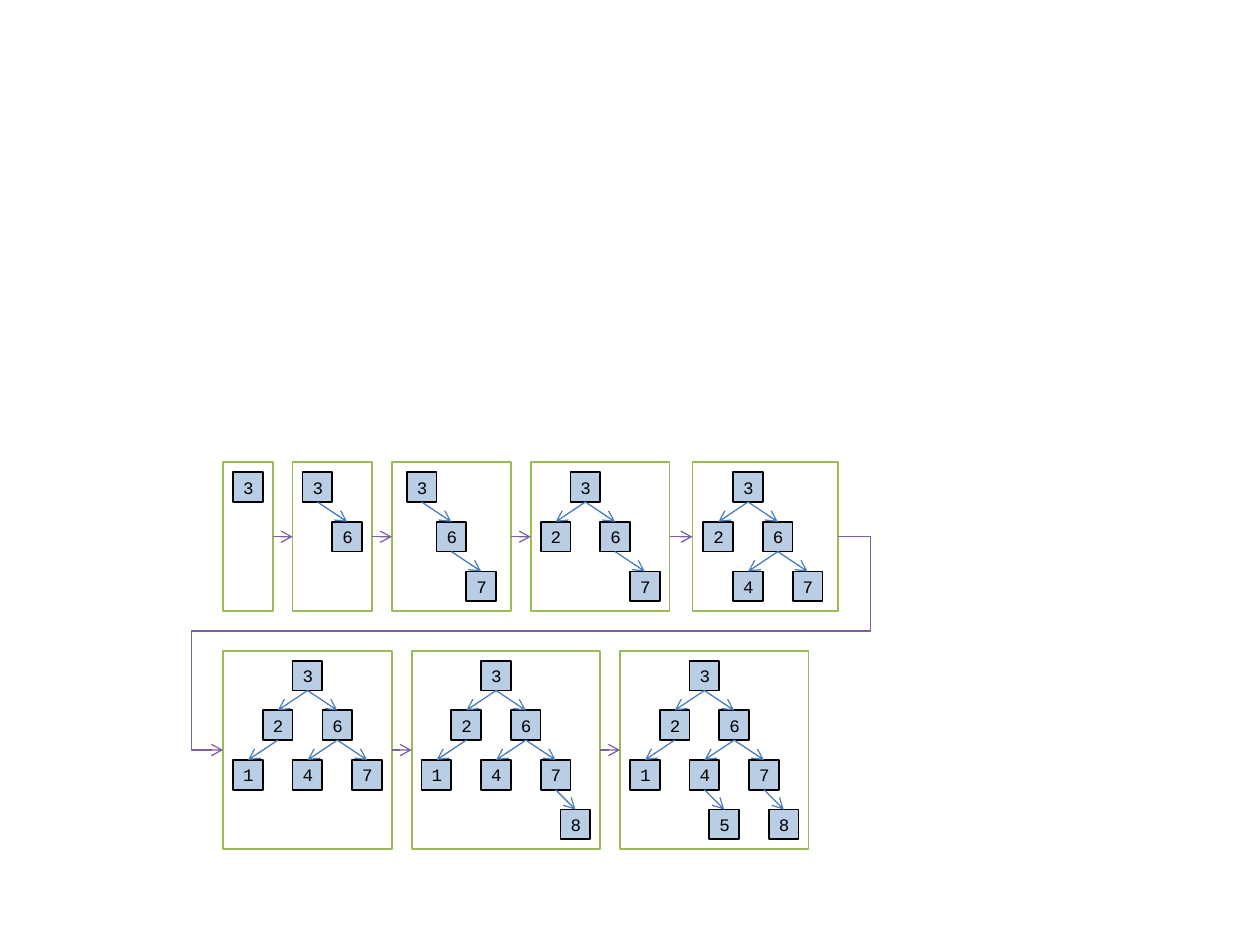
from lxml import etree
from pptx import Presentation
from pptx.dml.color import RGBColor
from pptx.enum.shapes import MSO_CONNECTOR, MSO_SHAPE
from pptx.enum.text import MSO_ANCHOR, PP_ALIGN
from pptx.oxml.ns import qn
from pptx.util import Cm, Inches, Pt

RECTANGLE = MSO_SHAPE.RECTANGLE
STRAIGHT, ELBOW = MSO_CONNECTOR.STRAIGHT, MSO_CONNECTOR.ELBOW
MIDDLE, CENTER = MSO_ANCHOR.MIDDLE, PP_ALIGN.CENTER
TOP_SITE, LEFT_SITE, BOTTOM_SITE, RIGHT_SITE = range(4)

COLORS = {
    "panel": "FFFFFF", "panel_line": "9BBB59",
    "node": "B9CDE5", "ink": "000000",
    "edge": "4B7EBC", "step": "7D60A0",
}

# Lengths are counted in units of a 2 mm grid.
UNIT = Cm(0.2)
NODE = 3
LEVEL = 5              # from one tree level to the next
CHILD_SHIFTS = (3, 3, 2)
MARGIN = 1
LEFT = 22.5
GAP = 2
OVERHANG = 3.2         # how far the wrapping arrow passes the panels

INSERTED = (3, 6, 7, 2, 4, 1, 8, 5)
# Each row: top, height, then for each panel the gap before, width, root column.
ROWS = (
    (46.6, 15, ((0, 5, 1), (GAP, 8, 1), (GAP, 12, 1.5), (GAP, 14, 4),
                (2.3, 14.7, 4.1))),
    (65.6, 20, ((0, 17, 7), (GAP, 19, 7), (GAP, 19, 7))),
)


def units(count):
    return round(count * UNIT)


def rgb(name):
    return RGBColor.from_string(COLORS[name])


def add_rectangle(page, left, top, width, height, fill, line):
    box = page.shapes.add_shape(
        RECTANGLE, *(units(n) for n in (left, top, width, height)))
    box.shadow.inherit = False
    box.fill.solid()
    box.fill.fore_color.rgb = rgb(fill)
    box.line.color.rgb = rgb(line)
    box.line.width = Pt(1)
    return box


def write_text(box, text, size=10, font="Courier New", color="ink"):
    frame = box.text_frame
    frame.vertical_anchor = MIDDLE
    frame.margin_left = frame.margin_right = Inches(0.08)
    frame.margin_top = frame.margin_bottom = Inches(0.05)
    para = frame.paragraphs[0]
    para.alignment = CENTER
    span = para.add_run()
    span.text = text
    span.font.size = Pt(size)
    span.font.name = font
    span.font.color.rgb = rgb(color)


def add_arrow(page, start, finish, color, kind=STRAIGHT):
    arrow = page.shapes.add_connector(kind, *start, *finish)
    arrow.line.color.rgb = rgb(color)
    arrow.line.width = Pt(0.75)
    etree.SubElement(arrow.line._get_or_add_ln(), qn("a:tailEnd"), type="arrow")
    etree.SubElement(arrow._element.spPr, qn("a:effectLst"))
    return arrow


def link(page, source, source_site, target, target_site, color):
    """Glue a straight arrow between connection sites of two shapes."""
    arrow = add_arrow(page, (0, 0), (0, 0), color)
    arrow.begin_connect(source, source_site)
    arrow.end_connect(target, target_site)


def search_tree(keys, root_column):
    """Map each key to its column, level and parent key."""
    places = {keys[0]: (root_column, 0, None)}
    children = {}
    for key in keys[1:]:
        parent = keys[0]
        while (parent, key > parent) in children:
            parent = children[parent, key > parent]
        children[parent, key > parent] = key
        column, level, _ = places[parent]
        shift = CHILD_SHIFTS[level] if key > parent else -CHILD_SHIFTS[level]
        places[key] = (column + shift, level + 1, parent)
    return places


def add_panel(page, left, top, width, height, keys, root_column):
    panel = add_rectangle(page, left, top, width, height, "panel", "panel_line")
    places = search_tree(keys, root_column)
    nodes = {}
    for key, (column, level, _) in places.items():
        nodes[key] = add_rectangle(
            page, left + column, top + MARGIN + level * LEVEL,
            NODE, NODE, "node", "ink")
        write_text(nodes[key], str(key))
    for key, (_, _, parent) in places.items():
        if parent is not None:
            link(page, nodes[parent], BOTTOM_SITE, nodes[key], TOP_SITE, "edge")
    return panel


def add_row(page, top, height, sizes, first_count):
    """Add one row of panels, each holding one key more than the last."""
    panels = []
    left = LEFT
    for count, (gap, width, root_column) in enumerate(sizes, first_count):
        left += gap
        panels.append(add_panel(page, left, top, width, height,
                                INSERTED[:count], root_column))
        left += width
    for before, after in zip(panels, panels[1:]):
        link(page, before, RIGHT_SITE, after, LEFT_SITE, "step")
    return panels


def add_wrapping_arrow(page, source, target):
    """Lead from the end of one row, between the rows, to the next row."""
    start = (source.left + source.width, source.top + source.height // 2)
    finish = (target.left, target.top + target.height // 2)
    arrow = add_arrow(page, start, finish, "step", ELBOW)
    side = units(OVERHANG) / (start[0] - finish[0])
    lane = (target.top - units(GAP) - start[1]) / (finish[1] - start[1])
    geometry = arrow._element.spPr.find(qn("a:prstGeom"))
    geometry.set("prst", "bentConnector5")
    guides = geometry.find(qn("a:avLst"))
    for number, share in enumerate((-side, lane, 1 + side), 1):
        etree.SubElement(guides, qn("a:gd"), name=f"adj{number}",
                         fmla=f"val {round(share * 100000)}")


def main():
    deck = Presentation()
    deck.slide_width, deck.slide_height = Inches(10), Inches(7.5)
    page = deck.slides.add_slide(deck.slide_layouts[6])
    rows = []
    first_count = 1
    for top, height, sizes in ROWS:
        rows.append(add_row(page, top, height, sizes, first_count))
        first_count += len(sizes)
    add_wrapping_arrow(page, rows[0][-1], rows[1][0])
    deck.save("out.pptx")


if __name__ == "__main__":
    main()
